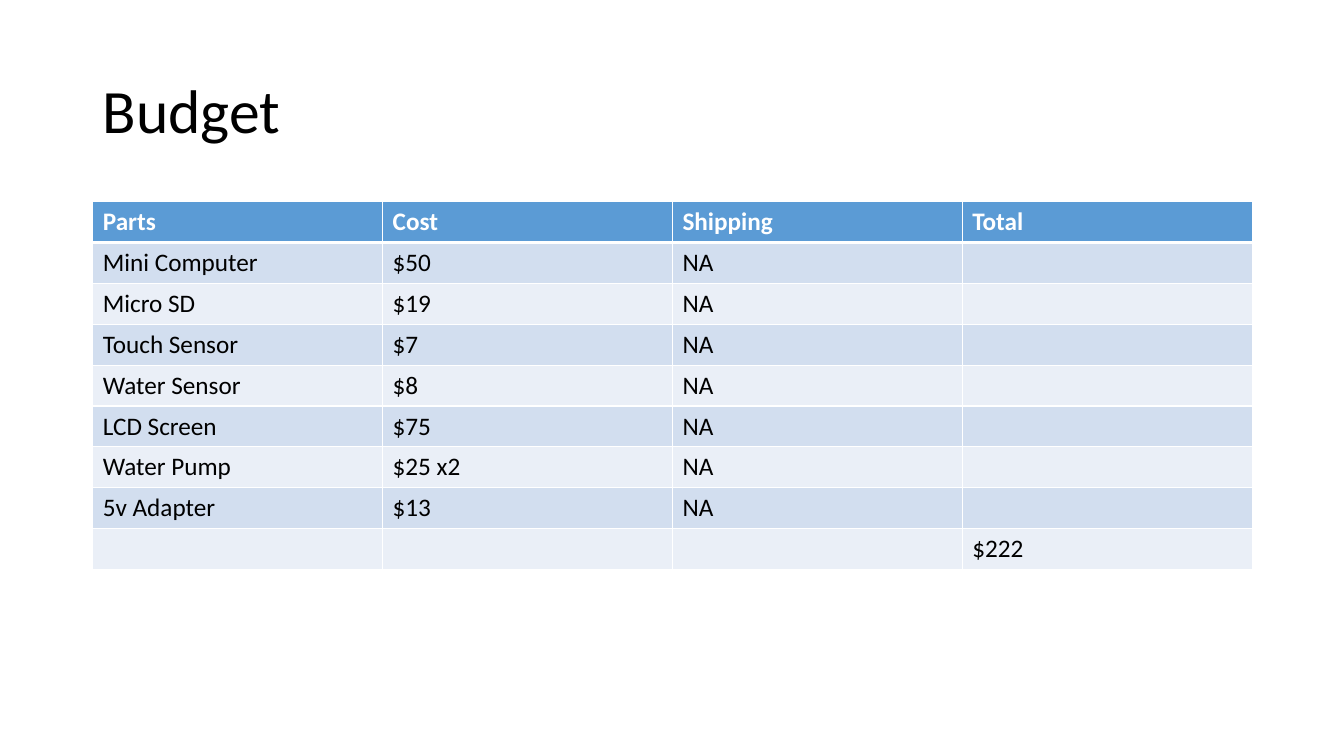
"""Build the project budget slide."""
from dataclasses import dataclass

from lxml.etree import SubElement
from pptx import Presentation
from pptx.dml.color import RGBColor
from pptx.enum.text import MSO_ANCHOR, PP_ALIGN
from pptx.oxml.ns import qn
from pptx.util import Inches, Pt


@dataclass(frozen=True)
class Theme:
    font: str = "Calibri"
    title_size: int = 44
    table_size: int = 18
    text: str = "000000"
    header_text: str = "FFFFFF"
    header_fill: str = "5B9BD5"
    bands: tuple = ("D2DEEF", "EAEFF7")
    border: str = "FFFFFF"
    thin: int = 1
    thick: int = 3


BUDGET = [
    ("Parts", "Cost", "Shipping", "Total"),
    ("Mini Computer", "$50", "NA", ""),
    ("Micro SD", "$19", "NA", ""),
    ("Touch Sensor", "$7", "NA", ""),
    ("Water Sensor", "$8", "NA", ""),
    ("LCD Screen", "$75", "NA", ""),
    ("Water Pump", "$25 x2", "NA", ""),
    ("5v Adapter", "$13", "NA", ""),
    ("", "", "", "$222"),
]


class BudgetPage:
    def __init__(self, page, theme):
        self.page = page
        self.theme = theme

    def format_text(self, paragraph, size, color, bold=False):
        for span in paragraph.runs:
            span.font.name = self.theme.font
            span.font.size = Pt(size)
            span.font.bold = bold
            span.font.color.rgb = RGBColor.from_string(color)

    def title(self, text, left, top, width, height):
        box = self.page.shapes.title
        box.left, box.top = Inches(left), Inches(top)
        box.width, box.height = Inches(width), Inches(height)
        box.text_frame.text = text
        box.text_frame.vertical_anchor = MSO_ANCHOR.MIDDLE
        paragraph = box.text_frame.paragraphs[0]
        paragraph.alignment = PP_ALIGN.LEFT
        paragraph.line_spacing = 0.9
        self.format_text(paragraph, self.theme.title_size, self.theme.text)

    def borders(self, cell, top, bottom):
        properties = cell._tc.get_or_add_tcPr()
        widths = {"L": self.theme.thin, "R": self.theme.thin, "T": top, "B": bottom}
        for position, (side, width) in enumerate(widths.items()):
            line = SubElement(properties, qn(f"a:ln{side}"), w=str(Pt(width)))
            fill = SubElement(line, qn("a:solidFill"))
            SubElement(fill, qn("a:srgbClr"), val=self.theme.border)
            properties.insert(position, line)

    def table(self, rows, left, top, width, height):
        theme = self.theme
        table = self.page.shapes.add_table(
            len(rows), len(rows[0]),
            Inches(left), Inches(top), Inches(width), Inches(height),
        ).table
        for row, values in enumerate(rows):
            header = row == 0
            fill = theme.header_fill if header else theme.bands[(row - 1) % 2]
            color = theme.header_text if header else theme.text
            for column, value in enumerate(values):
                cell = table.cell(row, column)
                cell.text_frame.text = value
                self.format_text(
                    cell.text_frame.paragraphs[0], theme.table_size, color, header
                )
                cell.fill.solid()
                cell.fill.fore_color.rgb = RGBColor.from_string(fill)
                self.borders(
                    cell,
                    theme.thick if row == 1 else theme.thin,
                    theme.thick if header else theme.thin,
                )


def main():
    deck = Presentation()
    deck.slide_width, deck.slide_height = Inches(13.33), Inches(7.5)
    page = BudgetPage(deck.slides.add_slide(deck.slide_layouts[5]), Theme())
    page.title("Budget", 0.92, 0.4, 11.5, 1.45)
    page.table(BUDGET, 0.92, 2, 11.5, 3.65)
    deck.save("out.pptx")


if __name__ == "__main__":
    main()
